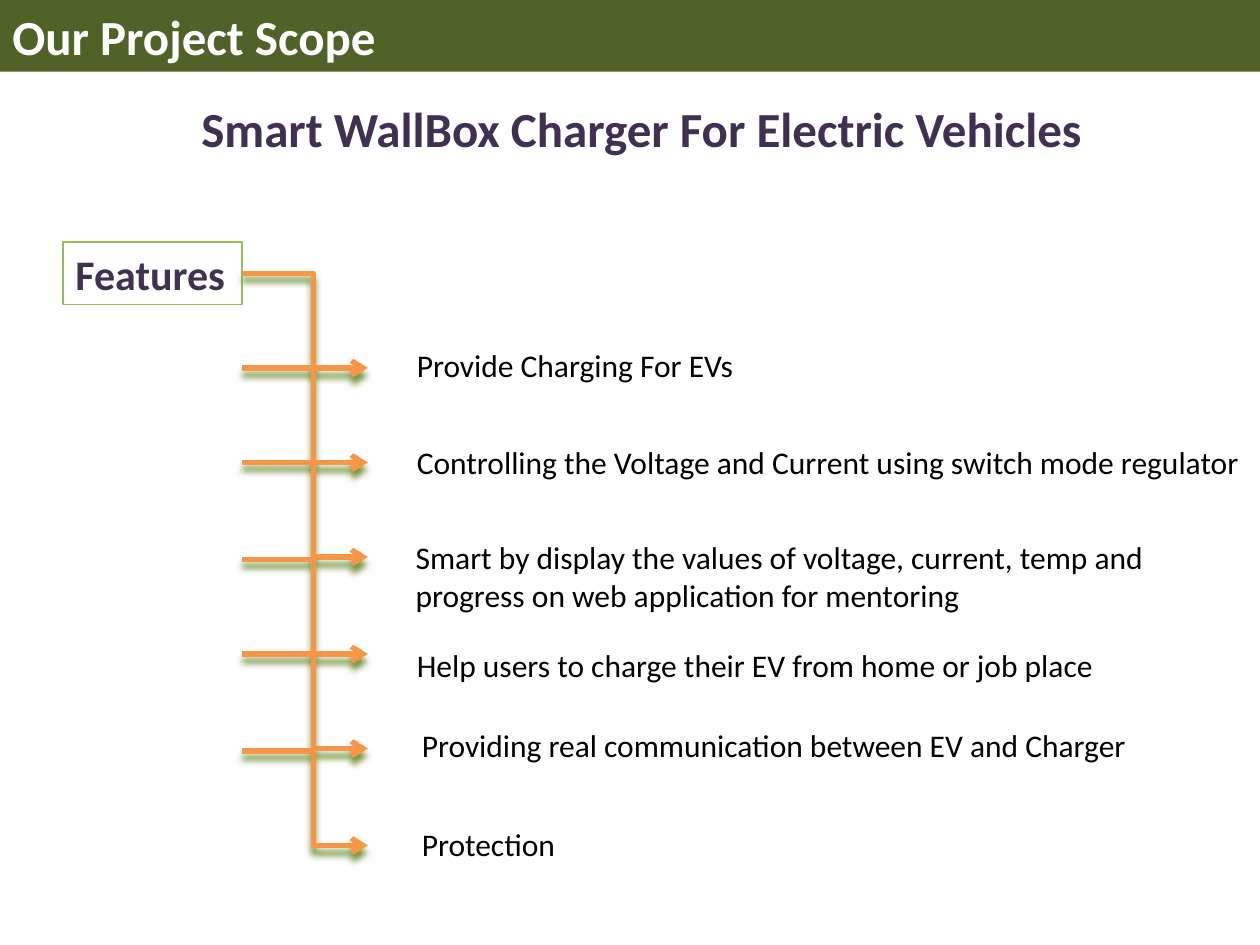
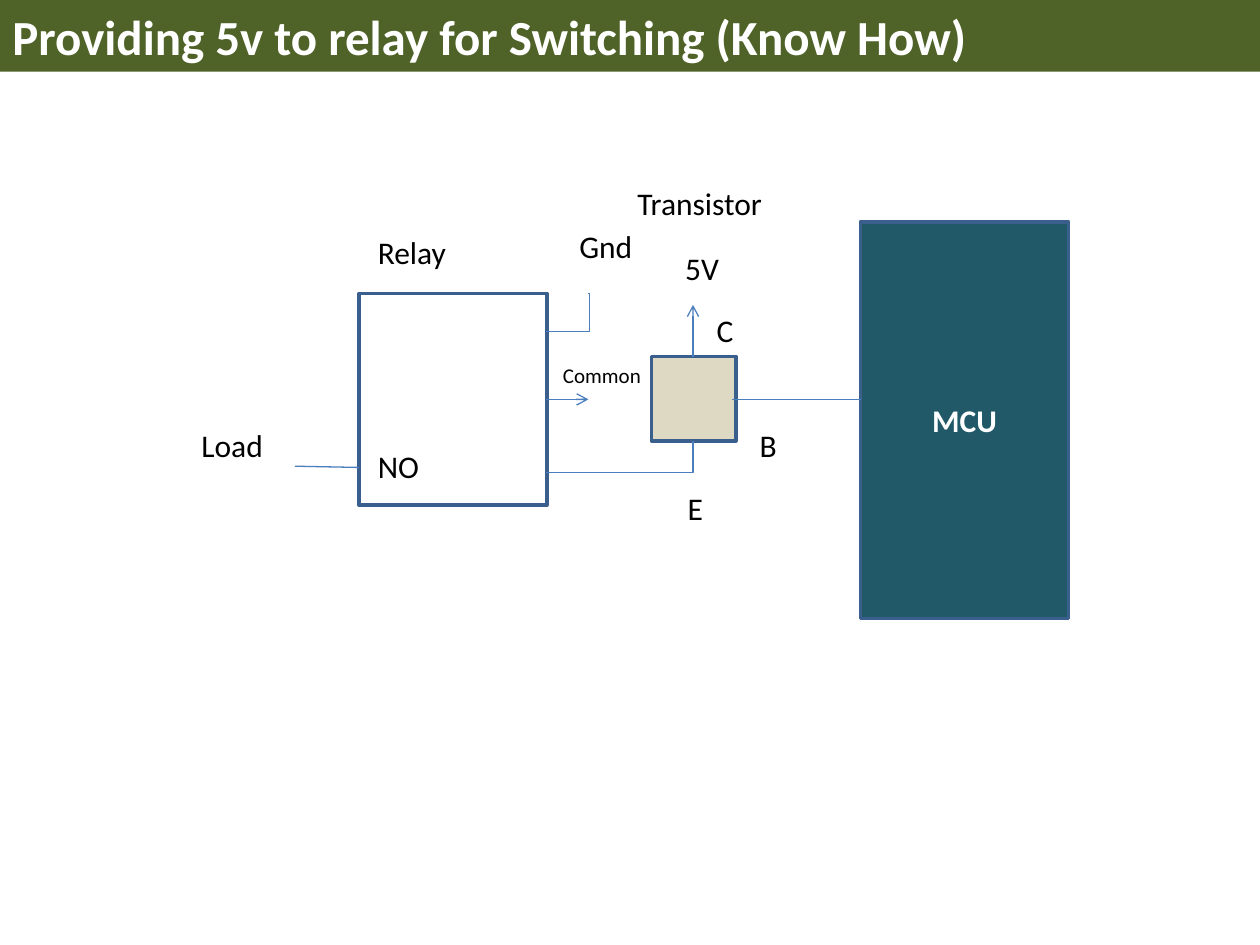
from dataclasses import dataclass
from typing import Optional

from lxml.etree import SubElement
from pptx import Presentation
from pptx.dml.color import RGBColor
from pptx.enum.shapes import MSO_CONNECTOR as Conn, MSO_SHAPE as Geo
from pptx.enum.text import MSO_ANCHOR as Anchor, MSO_AUTO_SIZE as AutoSize, PP_ALIGN as Align
from pptx.oxml.ns import qn
from pptx.util import Inches, Pt

FONT = "Calibri"
WHITE, BLACK = "FFFFFF", "000000"
BAND_GREEN, BOX_GREEN, SHADOW_GREEN = "4F6228", "9BBB59", "77933C"
PURPLE, ORANGE = "403152", "F79646"
OUTLINE, WIRE_BLUE, TEAL, TAN = "3A5F8C", "4B7EBC", "215968", "DDD9C3"


@dataclass
class Label:
    text: str
    left: float
    top: float
    width: float
    height: float = 0.4
    size: int = 18
    color: str = BLACK
    bold: bool = False
    wrap: bool = False


@dataclass
class Box:
    left: float
    top: float
    width: float
    height: float
    fill: Optional[str] = None
    line: Optional[str] = OUTLINE
    line_width: float = 2
    text: str = ""
    size: int = 18
    color: str = WHITE
    centred: bool = False


@dataclass
class Wire:
    """A line; bend is the share of its width at which an elbow turns."""
    start: tuple[float, float]
    end: tuple[float, float]
    bend: Optional[float] = None
    arrow: bool = False
    color: str = WIRE_BLUE
    width: float = 0.75
    shadow: bool = False


@dataclass
class Feature:
    branch_top: float
    label: Label


FEATURES = [
    Feature(2.17, Label("Provide Charging For EVs", 3.21, 2.7, 4.6, wrap=True)),
    Feature(2.92, Label("Controlling the Voltage and Current using switch mode regulator",
                        3.21, 3.47, 6.87)),
    Feature(3.67, Label("Smart by display the values of voltage, current, temp and "
                        "progress on web application for mentoring",
                        3.2, 4.22, 6.58, 0.71, wrap=True)),
    Feature(4.44, Label("Help users to charge their EV from home or job place",
                        3.21, 5.08, 5.68, wrap=True)),
    Feature(5.19, Label("Providing real communication between EV and Charger",
                        3.25, 5.71, 5.86)),
    Feature(5.96, Label("Protection", 3.25, 6.5, 1.33)),
]
BRANCH_LEFT, BRANCH_WIDTH, BRANCH_HEIGHT, BRANCH_BEND = 1.92, 1, 0.75, 0.566

CIRCUIT_BOXES = [
    Box(6.83, 1.76, 1.65, 3.15, TEAL, text="MCU", centred=True),
    Box(5.17, 2.83, 0.67, 0.67, TAN),
    Box(2.85, 2.33, 1.49, 1.68, WHITE),
]
CIRCUIT_WIRES = [
    Wire((5.5, 2.83), (5.5, 2.42), arrow=True),
    Wire((6.83, 3.17), (5.81, 3.17)),
    Wire((4.33, 3.75), (5.5, 3.5), bend=1),
    Wire((2.85, 3.71), (2.34, 3.7)),
    Wire((4.33, 2.63), (4.67, 2.33), bend=1.027),
    Wire((4.33, 3.17), (4.67, 3.17), arrow=True),
]
CIRCUIT_LABELS = [
    Label("Relay", 2.9, 1.8, 0.75),
    Label("Transistor", 4.96, 1.41, 1.26),
    Label("5V", 5.34, 1.93, 0.47),
    Label("C", 5.59, 2.42, 0.34),
    Label("B", 5.93, 3.33, 0.34),
    Label("E", 5.36, 3.83, 0.32),
    Label("NO", 2.9, 3.5, 0.53),
    Label("Gnd", 4.5, 1.75, 0.63),
    Label("Common", 4.37, 2.83, 0.83, 0.3, size=12),
    Label("Load", 1.5, 3.33, 1.35, wrap=True),
]


def rgb(color: str) -> RGBColor:
    return RGBColor.from_string(color)


def write(tf, text: str, size: int, color: str, bold: bool, align=Align.LEFT) -> None:
    tf.text = text
    p = tf.paragraphs[0]
    p.alignment = align
    font = p.runs[0].font
    font.name, font.size, font.bold = FONT, Pt(size), bold
    font.color.rgb = rgb(color)


def add_label(slide, label: Label) -> None:
    area = map(Inches, (label.left, label.top, label.width, label.height))
    tf = slide.shapes.add_textbox(*area).text_frame
    tf.word_wrap = label.wrap
    tf.auto_size = AutoSize.SHAPE_TO_FIT_TEXT
    write(tf, label.text, label.size, label.color, label.bold)


def add_box(slide, box: Box) -> None:
    area = map(Inches, (box.left, box.top, box.width, box.height))
    sp = slide.shapes.add_shape(Geo.RECTANGLE, *area)
    sp.shadow.inherit = False
    if box.fill:
        sp.fill.solid()
        sp.fill.fore_color.rgb = rgb(box.fill)
    else:
        sp.fill.background()
    if box.line:
        sp.line.color.rgb = rgb(box.line)
        sp.line.width = Pt(box.line_width)
    else:
        sp.line.fill.background()
    if box.text:
        tf = sp.text_frame
        tf.word_wrap = True
        tf.vertical_anchor = Anchor.MIDDLE if box.centred else Anchor.TOP
        write(tf, box.text, box.size, box.color, True,
              Align.CENTER if box.centred else Align.LEFT)


def add_wire(slide, wire: Wire) -> None:
    kind = Conn.STRAIGHT if wire.bend is None else Conn.ELBOW
    line = slide.shapes.add_connector(kind, *map(Inches, wire.start + wire.end))
    line.line.color.rgb = rgb(wire.color)
    line.line.width = Pt(wire.width)
    sp_pr = line._element.spPr
    if wire.bend is not None:
        guides = sp_pr.find(qn("a:prstGeom")).find(qn("a:avLst"))
        SubElement(guides, qn("a:gd"), name="adj1", fmla=f"val {round(wire.bend * 100000)}")
    if wire.arrow:
        SubElement(sp_pr.find(qn("a:ln")), qn("a:tailEnd"), type="arrow")
    effects = SubElement(sp_pr, qn("a:effectLst"))
    if wire.shadow:
        shadow = SubElement(effects, qn("a:outerShdw"), blurRad=str(Pt(4)), dist=str(Pt(4)),
                            dir="5400000", algn="ctr", rotWithShape="0")
        SubElement(shadow, qn("a:srgbClr"), val=SHADOW_GREEN)


def add_titled_slide(prs, title: str):
    slide = prs.slides.add_slide(prs.slide_layouts[6])
    add_box(slide, Box(0, 0, 10, 0.57, BAND_GREEN, None, text=title, size=28))
    return slide


def build_scope(prs) -> None:
    slide = add_titled_slide(prs, "Our Project Scope")
    add_label(slide, Label("Smart WallBox Charger For Electric Vehicles",
                           1.5, 0.73, 7.27, 0.57, 28, PURPLE, bold=True))
    add_box(slide, Box(0.5, 1.92, 1.42, 0.5, line=BOX_GREEN, line_width=0.75,
                       text="Features", size=24, color=PURPLE))
    for feature in FEATURES:
        top = feature.branch_top
        add_wire(slide, Wire((BRANCH_LEFT, top),
                             (BRANCH_LEFT + BRANCH_WIDTH, top + BRANCH_HEIGHT),
                             BRANCH_BEND, True, ORANGE, 3, shadow=True))
        add_label(slide, feature.label)


def build_relay_circuit(prs) -> None:
    slide = add_titled_slide(prs, "Providing 5v to relay for Switching (Know How)")
    for box in CIRCUIT_BOXES:
        add_box(slide, box)
    for wire in CIRCUIT_WIRES:
        add_wire(slide, wire)
    for label in CIRCUIT_LABELS:
        add_label(slide, label)


def main() -> None:
    prs = Presentation()
    prs.slide_width, prs.slide_height = Inches(10), Inches(7.5)
    build_scope(prs)
    build_relay_circuit(prs)
    prs.save("out.pptx")


if __name__ == "__main__":
    main()
